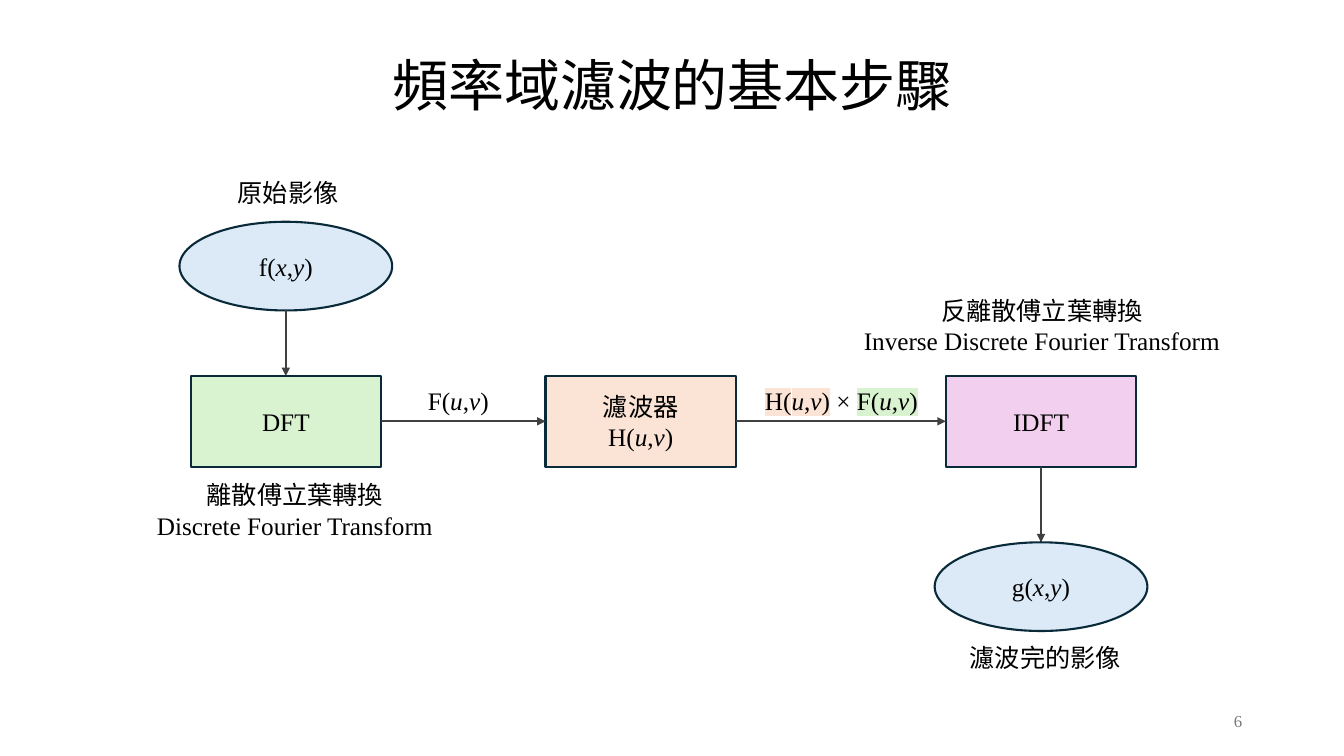
"""Build the slide on the basic steps of frequency domain filtering."""
from dataclasses import dataclass
from typing import Optional

from lxml import etree
from pptx import Presentation
from pptx.dml import color
from pptx.enum import shapes, text
from pptx.oxml import ns
from pptx.util import Inches, Pt


@dataclass(frozen=True)
class Theme:
    font: str = "Times New Roman"
    ink: str = "000000"
    muted: str = "797979"
    outline: str = "092A39"
    arrow: str = "404040"
    image: str = "DCEAF7"
    forward: str = "D9F2D0"
    filter: str = "FBE3D6"
    inverse: str = "F2CFEE"
    title_size: int = 40
    body_size: int = 18
    number_size: int = 12
    line_width: float = 1.5


THEME = Theme()
CENTER, LEFT, RIGHT = text.PP_ALIGN.CENTER, text.PP_ALIGN.LEFT, text.PP_ALIGN.RIGHT
OVAL, BOX = shapes.MSO_SHAPE.OVAL, shapes.MSO_SHAPE.RECTANGLE
OVAL_SIZE, BOX_SIZE = (2.11, 0.88), (1.89, 0.9)
TOP, LEFT_SIDE, BOTTOM, RIGHT_SIDE = range(4)


@dataclass(frozen=True)
class Piece:
    text: str
    italic: bool = False
    highlight: Optional[str] = None


Lines = tuple[tuple[Piece, ...], ...]


def plain(*lines: str) -> Lines:
    """Return lines of upright text."""
    return tuple((Piece(line),) for line in lines)


def function_of(name: str, first: str, second: str, highlight: Optional[str] = None) -> tuple[Piece, ...]:
    """Return a function of two italic variables."""
    parts = ((f"{name}(", False), (first, True), (",", False), (second, True), (")", False))
    return tuple(Piece(part, italic, highlight) for part, italic in parts)


@dataclass(frozen=True)
class Node:
    kind: shapes.MSO_SHAPE
    left: float
    top: float
    fill: str
    lines: Lines


@dataclass(frozen=True)
class Label:
    left: float
    top: float
    width: float
    height: float
    lines: Lines
    wrap: bool = True
    align: text.PP_ALIGN = CENTER
    size: int = THEME.body_size
    ink: str = THEME.ink
    anchor: text.MSO_ANCHOR = text.MSO_ANCHOR.TOP
    grow: bool = True


@dataclass(frozen=True)
class Arrow:
    start: str
    start_side: int
    end: str
    end_side: int


NODES = {
    "input": Node(OVAL, 1.78, 2.2, THEME.image, (function_of("f", "x", "y"),)),
    "dft": Node(BOX, 1.89, 3.73, THEME.forward, plain("DFT")),
    "filter": Node(BOX, 5.41, 3.73, THEME.filter, plain("濾波器") + (function_of("H", "u", "v"),)),
    "idft": Node(BOX, 9.38, 3.73, THEME.inverse, plain("IDFT")),
    "output": Node(OVAL, 9.27, 5.38, THEME.image, (function_of("g", "x", "y"),)),
}
ARROWS = (
    Arrow("input", BOTTOM, "dft", TOP),
    Arrow("dft", RIGHT_SIDE, "filter", LEFT_SIDE),
    Arrow("filter", RIGHT_SIDE, "idft", LEFT_SIDE),
    Arrow("idft", BOTTOM, "output", TOP),
)
PRODUCT = (
    function_of("H", "u", "v", THEME.filter)
    + (Piece(" × "),)
    + function_of("F", "u", "v", THEME.forward)
)
LABELS = (
    Label(9.42, 6.95, 3, 0.4, plain("6"), align=RIGHT, size=THEME.number_size,
          ink=THEME.muted, anchor=text.MSO_ANCHOR.MIDDLE, grow=False),
    Label(0, 0.45, 13.33, 0.77, plain("頻率域濾波的基本步驟"), size=THEME.title_size),
    Label(4.05, 3.77, 0.99, 0.4, (function_of("F", "u", "v"),)),
    Label(7.23, 3.77, 2.23, 0.4, (PRODUCT,)),
    Label(2.26, 1.71, 1.21, 0.4, plain("原始影像"), wrap=False, align=LEFT),
    Label(9.52, 6.32, 1.72, 0.4, plain("濾波完的影像"), wrap=False, align=LEFT),
    Label(1.44, 4.71, 2.97, 0.71, plain("離散傅立葉轉換", "Discrete Fourier Transform"), wrap=False),
    Label(8.45, 2.88, 3.77, 0.71, plain("反離散傅立葉轉換", "Inverse Discrete Fourier Transform"), wrap=False),
)


def rgb(value: str) -> color.RGBColor:
    """Return a colour object for a hex value."""
    return color.RGBColor.from_string(value)


def write(frame, lines: Lines, align=CENTER, size: int = THEME.body_size, ink: str = THEME.ink) -> None:
    """Write formatted lines into a text frame."""
    for index, pieces in enumerate(lines):
        paragraph = frame.add_paragraph() if index else frame.paragraphs[0]
        paragraph.alignment = align
        for piece in pieces:
            run = paragraph.add_run()
            run.text = piece.text
            run.font.size = Pt(size)
            run.font.italic = piece.italic
            run.font.color.rgb = rgb(ink)
            if piece.highlight:
                highlight = etree.SubElement(run.font._element, ns.qn("a:highlight"))
                etree.SubElement(highlight, ns.qn("a:srgbClr"), val=piece.highlight)
            run.font.name = THEME.font


def add_node(slide, node: Node):
    """Draw one step of the process and return its shape."""
    size = OVAL_SIZE if node.kind == OVAL else BOX_SIZE
    shape = slide.shapes.add_shape(node.kind, *map(Inches, (node.left, node.top, *size)))
    shape.shadow.inherit = False
    shape.fill.solid()
    shape.fill.fore_color.rgb = rgb(node.fill)
    shape.line.color.rgb = rgb(THEME.outline)
    shape.line.width = Pt(THEME.line_width)
    shape.text_frame.vertical_anchor = text.MSO_ANCHOR.MIDDLE
    write(shape.text_frame, node.lines)
    return shape


def add_label(slide, label: Label) -> None:
    """Draw one free-standing text."""
    box = slide.shapes.add_textbox(*map(Inches, (label.left, label.top, label.width, label.height)))
    frame = box.text_frame
    frame.word_wrap = label.wrap
    frame.vertical_anchor = label.anchor
    if label.grow:
        frame.auto_size = text.MSO_AUTO_SIZE.SHAPE_TO_FIT_TEXT
    write(frame, label.lines, label.align, label.size, label.ink)


def add_arrow(slide, arrow: Arrow, steps: dict) -> None:
    """Draw an arrow from one step to the next."""
    start, end = steps[arrow.start], steps[arrow.end]
    x, y = start.left + start.width // 2, start.top + start.height
    connector = slide.shapes.add_connector(shapes.MSO_CONNECTOR.STRAIGHT, x, y, x, end.top)
    if NODES[arrow.start].kind == BOX:
        connector.begin_connect(start, arrow.start_side)
    connector.end_connect(end, arrow.end_side)
    connector.line.color.rgb = rgb(THEME.arrow)
    connector.line.width = Pt(THEME.line_width)
    etree.SubElement(connector.line._get_or_add_ln(), ns.qn("a:tailEnd"), type="triangle")
    etree.SubElement(connector._element.spPr, ns.qn("a:effectLst"))


def main() -> None:
    """Build and save the presentation."""
    presentation = Presentation()
    presentation.slide_width, presentation.slide_height = Inches(13.33), Inches(7.5)
    slide = presentation.slides.add_slide(presentation.slide_layouts[6])
    steps = {name: add_node(slide, node) for name, node in NODES.items()}
    for arrow in ARROWS:
        add_arrow(slide, arrow, steps)
    for label in LABELS:
        add_label(slide, label)
    presentation.save("out.pptx")


if __name__ == "__main__":
    main()
